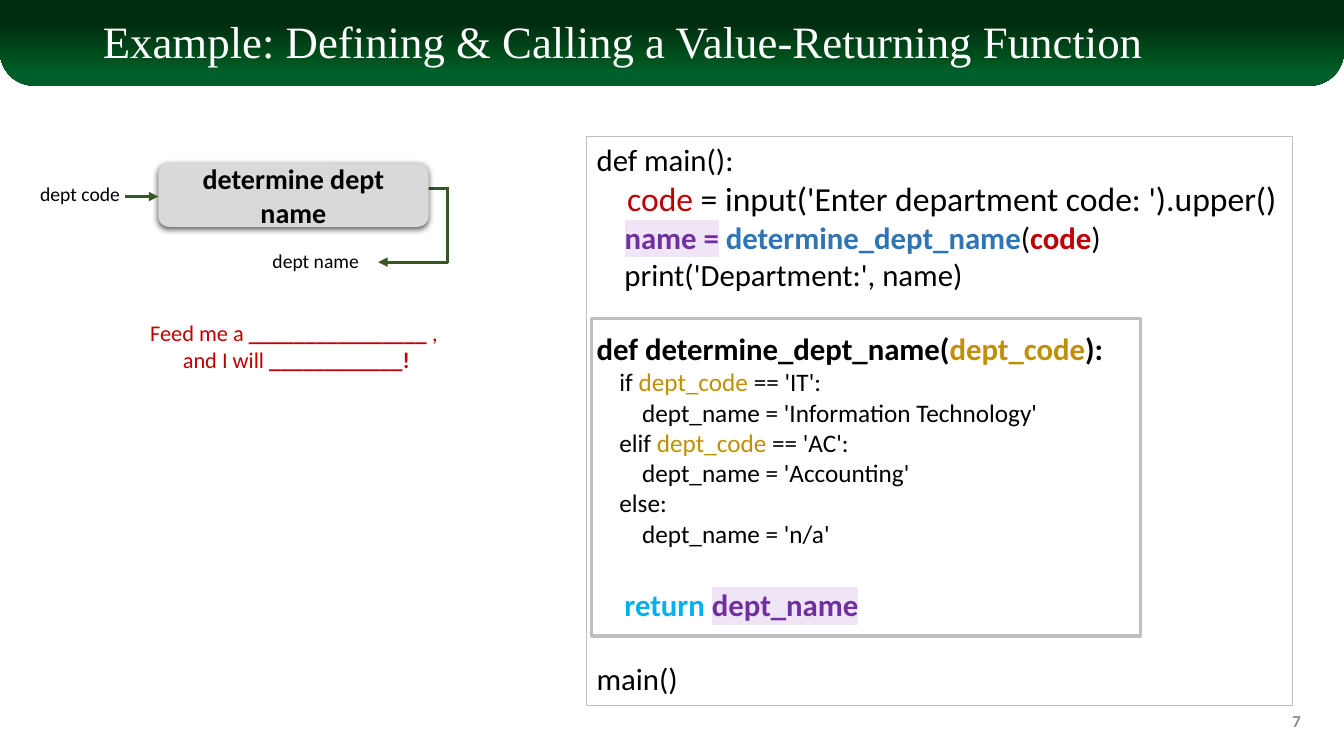
from lxml import etree
from pptx import Presentation
from pptx.dml.color import RGBColor
from pptx.enum.shapes import MSO_CONNECTOR, MSO_SHAPE
from pptx.enum.text import MSO_ANCHOR, MSO_AUTO_SIZE, PP_ALIGN
from pptx.oxml import parse_xml
from pptx.oxml.ns import nsdecls, qn
from pptx.util import Inches, Pt

LEFT, CENTER, RIGHT = PP_ALIGN.LEFT, PP_ALIGN.CENTER, PP_ALIGN.RIGHT
TOP, MIDDLE = MSO_ANCHOR.TOP, MSO_ANCHOR.MIDDLE
NO_AUTOFIT = MSO_AUTO_SIZE.NONE
STRAIGHT = MSO_CONNECTOR.STRAIGHT
RECTANGLE, ROUNDED = MSO_SHAPE.RECTANGLE, MSO_SHAPE.ROUNDED_RECTANGLE
BAND = MSO_SHAPE.ROUND_2_SAME_RECTANGLE

WHITE = RGBColor(0xFF, 0xFF, 0xFF)
BLACK = RGBColor(0x00, 0x00, 0x00)
SILVER = RGBColor(0xBF, 0xBF, 0xBF)
LIGHT_GRAY = RGBColor(0xD9, 0xD9, 0xD9)
GRAY = RGBColor(0x8C, 0x8C, 0x8C)
GREEN = RGBColor(0x38, 0x57, 0x23)
RED = RGBColor(0xC0, 0x00, 0x00)
PURPLE = RGBColor(0x70, 0x30, 0xA0)
LILAC = RGBColor(0xEF, 0xE5, 0xF7)
BLUE = RGBColor(0x2E, 0x75, 0xB6)
CYAN = RGBColor(0x00, 0xB0, 0xF0)
GOLD = RGBColor(0xBF, 0x90, 0x00)
BAND_STOPS = [
    (0, RGBColor(0x00, 0x2D, 0x10)), (28, RGBColor(0x00, 0x2D, 0x10)),
    (68, RGBColor(0x00, 0x50, 0x1D)), (85, RGBColor(0x00, 0x60, 0x2B)),
    (100, RGBColor(0x00, 0x5C, 0x2B)),
]
BLANK_LINE = 26.8

# Each line: size, space before, runs of (text, colour, bold, highlight).
CODE_LINES = [
    (22, 0, [("def main():", BLACK, False, None)]),
    (24, 0, [("    code", RED, False, None),
             (" = input('Enter department code: ').upper()", BLACK, False, None)]),
    (22, 0, [("    ", BLACK, False, None), ("name =", PURPLE, True, LILAC),
             (" ", BLACK, True, None), ("determine_dept_name", BLUE, True, None),
             ("(", BLACK, False, None), ("code", RED, True, None),
             (")", BLACK, False, None)]),
    (22, 0, [("    print('Department:', name)", BLACK, False, None)]),
    (22, BLANK_LINE, [("def determine_dept_name(", BLACK, True, None),
                      ("dept_code", GOLD, True, None), ("):", BLACK, True, None)]),
    (18, 0, [("    if ", BLACK, False, None), ("dept_code ", GOLD, False, None),
             ("== 'IT':", BLACK, False, None)]),
    (18, 0, [("        dept_name = 'Information Technology'", BLACK, False, None)]),
    (18, 0, [("    elif ", BLACK, False, None), ("dept_code ", GOLD, False, None),
             ("== 'AC':", BLACK, False, None)]),
    (18, 0, [("        dept_name = 'Accounting'", BLACK, False, None)]),
    (18, 0, [("    else:", BLACK, False, None)]),
    (18, 0, [("        dept_name = 'n/a'", BLACK, False, None)]),
    (22, BLANK_LINE, [("    return ", CYAN, True, None),
                      ("dept_name", PURPLE, True, LILAC)]),
    (22, BLANK_LINE, [("main()", BLACK, False, None)]),
]


def set_font(font, size, color, bold=False, name="Calibri"):
    """Set the face, size, colour and weight of a font."""
    font.name, font.size, font.bold = name, Pt(size), bold
    font.color.rgb = color


def add_label(slide, box, text, size, color, align, bold=False, wrap=False, anchor=TOP):
    """Add a one-paragraph text box and return its paragraph."""
    frame = slide.shapes.add_textbox(*map(Inches, box)).text_frame
    frame.word_wrap, frame.vertical_anchor = wrap, anchor
    paragraph = frame.paragraphs[0]
    paragraph.text, paragraph.alignment = text, align
    set_font(paragraph.font, size, color, bold)
    return paragraph


def add_box(slide, kind, box, fill=None, line=None, width=0):
    """Add a shape without shadow, filled or outlined as given."""
    shape = slide.shapes.add_shape(kind, *map(Inches, box))
    shape.shadow.inherit = False
    if fill is None:
        shape.fill.background()
    else:
        shape.fill.solid()
        shape.fill.fore_color.rgb = fill
    if line is None:
        shape.line.fill.background()
    else:
        shape.line.color.rgb, shape.line.width = line, Pt(width)
    return shape


def add_flow_line(slide, start, end, arrow=False):
    """Draw a green line, with an arrowhead at its end if asked."""
    flow = slide.shapes.add_connector(STRAIGHT, *map(Inches, start + end))
    flow.line.color.rgb, flow.line.width = GREEN, Pt(2.25)
    if arrow:
        etree.SubElement(flow.line._get_or_add_ln(), qn("a:tailEnd"), type="triangle")
    etree.SubElement(flow._element.spPr, qn("a:effectLst"))


def add_header(slide, left, top, width, height):
    """Place the title over a green gradient band with round lower corners."""
    band = add_box(slide, BAND, (left, top, width, height))
    band.adjustments[0], band.adjustments[1] = 0, 0.4
    stops = "".join(f'<a:gs pos="{pos * 1000}"><a:srgbClr val="{color}"/></a:gs>'
                    for pos, color in BAND_STOPS)
    gradient = parse_xml(f'<a:gradFill {nsdecls("a")}><a:gsLst>{stops}</a:gsLst>'
                         '<a:lin ang="5400000" scaled="0"/></a:gradFill>')
    properties = band._element.spPr
    properties.replace(properties.find(qn("a:noFill")), gradient)

    title = slide.shapes.title
    title._element.addprevious(band._element)
    title.left, title.top = Inches(left + 0.92), Inches(top + 0.13)
    title.width, title.height = Inches(11.5), Inches(0.61)
    frame = title.text_frame
    frame.vertical_anchor, frame.auto_size = MIDDLE, NO_AUTOFIT
    heading = frame.paragraphs[0]
    heading.text = "Example: Defining & Calling a Value-Returning Function"
    heading.alignment, heading.line_spacing = LEFT, 0.9
    set_font(heading.font, 32, WHITE, name="Times New Roman")


def add_function_diagram(slide, left, top):
    """Draw the function box with its input and its returned output."""
    turn, exit_y, return_y = left + 4.17, top + 0.25, top + 0.98
    add_flow_line(slide, (left + 3.65, exit_y), (turn, exit_y))
    add_flow_line(slide, (turn, return_y), (left + 3.48, return_y), arrow=True)
    add_flow_line(slide, (turn, exit_y - 0.01), (turn, return_y + 0.01))

    process = add_box(slide, ROUNDED, (left + 1.3, top, 2.68, 0.63), LIGHT_GRAY)
    process._element.spPr.find(qn("a:effectLst")).append(parse_xml(
        f'<a:outerShdw {nsdecls("a")} blurRad="57150" dist="19050" dir="5400000" '
        'algn="ctr" rotWithShape="0"><a:srgbClr val="000000">'
        '<a:alpha val="63000"/></a:srgbClr></a:outerShdw>'))
    process.text_frame.vertical_anchor = MIDDLE
    name = process.text_frame.paragraphs[0]
    name.text, name.alignment = "determine dept name", CENTER
    set_font(name.font, 20, BLACK, True)

    add_flow_line(slide, (left + 0.97, top + 0.33), (left + 1.3, top + 0.33), arrow=True)
    add_label(slide, (left, top + 0.14, 1.02, 0.34), "dept code", 14, BLACK, RIGHT)
    add_label(slide, (left + 2.32, top + 0.8, 1.07, 0.34), "dept name", 14, BLACK, RIGHT)


def add_prompt(slide, left, top, width, height):
    """Write the fill-in sentence with bold blanks."""
    prompt = add_label(slide, (left, top, width, height), "Feed me a ", 16, RED,
                       CENTER, wrap=True)
    prompt.add_run().text = "_" * 16
    prompt.runs[-1].font.bold = True
    prompt.add_run().text = " , "
    prompt.add_line_break()
    prompt.add_run().text = "and I will "
    prompt.add_run().text = "_" * 12 + "!"
    prompt.runs[-1].font.bold = True


def add_code_panel(slide, left, top, width, height):
    """Write the program in a panel and frame the function definition."""
    add_box(slide, RECTANGLE, (left + 0.05, top + 1.81, 5.44, 3.15), None, SILVER, 2.25)
    panel = add_box(slide, RECTANGLE, (left, top, width, height), None, SILVER, 0.75)
    frame = panel.text_frame
    frame.word_wrap, frame.vertical_anchor = True, TOP
    for index, (size, gap, runs) in enumerate(CODE_LINES):
        line = frame.add_paragraph() if index else frame.paragraphs[0]
        line.alignment = LEFT
        if gap:
            line.space_before = Pt(gap)
        set_font(line.font, size, BLACK)
        for text, color, bold, highlight in runs:
            run = line.add_run()
            run.text, run.font.bold, run.font.color.rgb = text, bold, color
            if highlight:
                mark = etree.SubElement(run.font._element, qn("a:highlight"))
                etree.SubElement(mark, qn("a:srgbClr"), val=str(highlight))


def main():
    """Build the slide and save it."""
    deck = Presentation()
    deck.slide_width, deck.slide_height = Inches(13.33), Inches(7.5)
    slide = deck.slides.add_slide(deck.slide_layouts[5])
    add_header(slide, 0, 0, 13.33, 0.85)
    add_label(slide, (10, 6.95, 3, 0.4), "7", 12, GRAY, RIGHT, True, True, MIDDLE)
    add_function_diagram(slide, 0.27, 1.62)
    add_code_panel(slide, 5.82, 1.35, 7, 5.65)
    add_prompt(slide, 1.34, 3.12, 3.2, 0.64)
    deck.save("out.pptx")


if __name__ == "__main__":
    main()
